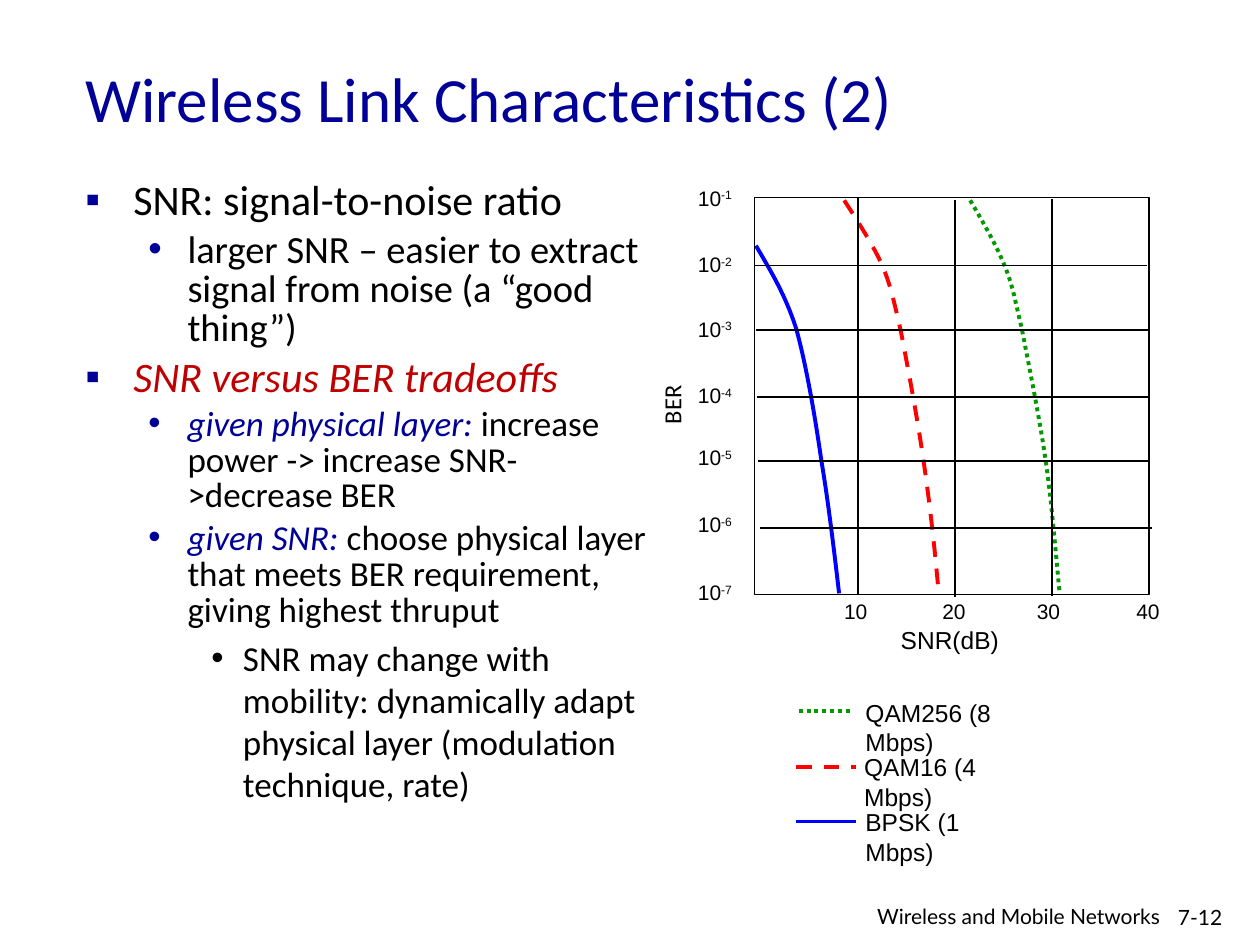
from lxml import etree
from pptx import Presentation
from pptx.dml.color import RGBColor
from pptx.enum.dml import MSO_LINE_DASH_STYLE as DASH
from pptx.enum.shapes import MSO_CONNECTOR, MSO_SHAPE
from pptx.enum.text import MSO_ANCHOR, PP_ALIGN
from pptx.oxml.ns import qn
from pptx.util import Inches, Pt

BLACK, NAVY, CRIMSON = "000000", "000099", "C00000"
BLUE, RED, GREEN = "0000FF", "FF0000", "009900"


def rgb(value):
    return RGBColor.from_string(value)


def text_box(x, y, w, h, runs, size, font="Arial", wrap=False):
    """Runs are (text, colour, italic, superscript); returns the box."""
    sp = s.shapes.add_textbox(Inches(x), Inches(y), Inches(w), Inches(h))
    sp.text_frame.word_wrap = wrap
    add_runs(sp.text_frame.paragraphs[0], runs, size, font)
    return sp


def add_runs(p, runs, size, font):
    for text, color, italic, superscript in runs:
        r = p.add_run()
        r.text = text
        r.font.size, r.font.name = Pt(size), font
        r.font.color.rgb = rgb(color)
        r.font.italic = italic
        if superscript:
            r.font._element.set("baseline", "30000")


prs = Presentation()
prs.slide_width, prs.slide_height = Inches(10), Inches(7.5)
s = prs.slides.add_slide(prs.slide_layouts[6])

# Title
title = text_box(0.58, 0.15, 8.5, 1.25,
                 [("Wireless Link Characteristics (2)", NAVY, False, False)],
                 36, "Calibri", wrap=True)
title.text_frame.vertical_anchor = MSO_ANCHOR.MIDDLE

# Bulleted text: level, size, runs of (text, colour, italic)
bullets = [
    (0, 24, [("SNR: signal-to-noise ratio", BLACK, False)]),
    (1, 22, [("larger SNR – easier to extract signal from noise "
              "(a “good thing”)", BLACK, False)]),
    (0, 24, [("SNR versus BER tradeoffs", CRIMSON, True)]),
    (1, 20, [("given physical layer:", NAVY, True),
             (" increase power -> increase SNR->decrease BER", BLACK, False)]),
    (1, 20, [("given SNR:", NAVY, True),
             (" choose physical layer that meets BER requirement, "
              "giving highest thruput", BLACK, False)]),
    (2, 20, [("SNR may change with mobility: dynamically adapt physical layer "
              "(modulation technique, rate)", BLACK, False)]),
]
# Per level: left margin, hanging indent, line spacing, bullet, bullet colour
levels = [(0.38, 0.38, 0.85, "▪", NAVY),
          (0.81, 0.31, 0.85, "•", NAVY),
          (1.25, 0.25, 1.0, "•", BLACK)]
body = s.shapes.add_textbox(Inches(0.58), Inches(1.39), Inches(4.68), Inches(5.68))
tf = body.text_frame
tf.word_wrap = True
for i, (level, size, runs) in enumerate(bullets):
    margin, hang, spacing, char, color = levels[level]
    p = tf.add_paragraph() if i else tf.paragraphs[0]
    p.level = level
    p.line_spacing, p.space_before = spacing, Pt(size * 0.2)
    pPr = p._p.get_or_add_pPr()
    pPr.set("marL", str(Inches(margin)))
    pPr.set("indent", str(-Inches(hang)))
    clr = etree.SubElement(pPr, qn("a:buClr"))
    etree.SubElement(clr, qn("a:srgbClr")).set("val", color)
    etree.SubElement(pPr, qn("a:buFont")).set("typeface", "Arial")
    etree.SubElement(pPr, qn("a:buChar")).set("char", char)
    add_runs(p, [(*run, False) for run in runs], size, "Calibri")

# BER curves: start point, then Bezier segments of three points each
curves = [
    (BLUE, DASH.SOLID,
     [(6, 1.95), (6.11, 2.14), (6.23, 2.33), (6.32, 2.61), (6.4, 2.9),
      (6.47, 3.31), (6.52, 3.66), (6.58, 4.01), (6.64, 4.54), (6.66, 4.71)]),
    (RED, DASH.DASH,
     [(6.7, 1.59), (6.81, 1.76), (6.92, 1.93), (7, 2.1), (7.07, 2.27),
      (7.09, 2.37), (7.15, 2.63), (7.2, 2.89), (7.28, 3.31), (7.33, 3.66),
      (7.38, 4), (7.42, 4.36), (7.45, 4.71)]),
    (GREEN, DASH.ROUND_DOT,
     [(7.7, 1.59), (7.8, 1.76), (7.9, 1.93), (7.97, 2.1), (8.04, 2.27),
      (8.05, 2.36), (8.11, 2.61), (8.16, 2.87), (8.25, 3.31), (8.3, 3.66),
      (8.35, 4), (8.39, 4.52), (8.41, 4.7)]),
]
for color, dash, pts in curves:
    start, *rest = [(Inches(x), Inches(y)) for x, y in pts]
    fb = s.shapes.build_freeform(*start)
    fb.add_line_segments(rest, close=False)
    sp = fb.convert_to_shape()
    # Join every three straight segments into one Bezier segment
    segments = list(sp._element.iter(qn("a:lnTo")))
    for k in range(0, len(segments), 3):
        bezier = etree.Element(qn("a:cubicBezTo"))
        segments[k].addprevious(bezier)
        for segment in segments[k:k + 3]:
            bezier.append(segment[0])
            segment.getparent().remove(segment)
    sp.shadow.inherit = False
    sp.fill.background()
    sp.line.color.rgb, sp.line.width = rgb(color), Pt(2.25)
    sp.line.dash_style = dash

# Plot frame
frame = s.shapes.add_shape(MSO_SHAPE.RECTANGLE, Inches(5.99), Inches(1.57),
                           Inches(3.13), Inches(3.15))
frame.shadow.inherit = False
frame.fill.background()
frame.line.color.rgb, frame.line.width = rgb(BLACK), Pt(0.75)

# Grid lines and legend keys
rows = [2.11, 2.62, 3.15, 3.66, 4.19]
lines = [(5.99 + 0.01 * i, y, 9.1 + 0.01 * i, y, BLACK, 0.75, DASH.SOLID)
         for i, y in enumerate(rows)]
lines += [(x, top, x, top + 3.15, BLACK, 0.75, DASH.SOLID)
          for x, top in ((6.81, 1.57), (7.58, 1.59), (8.35, 1.58))]
lines += [(6.32, 6.52, 6.79, 6.52, BLUE, 2.25, DASH.SOLID),
          (6.32, 6.09, 6.79, 6.09, RED, 2.25, DASH.DASH),
          (6.34, 5.64, 6.77, 5.64, GREEN, 2.25, DASH.ROUND_DOT)]
for x1, y1, x2, y2, color, width, dash in lines:
    cn = s.shapes.add_connector(MSO_CONNECTOR.STRAIGHT, Inches(x1), Inches(y1),
                                Inches(x2), Inches(y2))
    cn.line.color.rgb, cn.line.width = rgb(color), Pt(width)
    cn.line.dash_style = dash
    etree.SubElement(cn._element.spPr, qn("a:effectLst"))

# Axis labels
for label, x in (("10", 6.6), ("20", 7.38), ("30", 8.13), ("40", 8.92)):
    text_box(x, 4.7, 0.39, 0.3, [(label, BLACK, False, False)], 12)
for n, y in enumerate([1.42, 1.95, 2.46, 2.99, 3.48, 4.01, 4.55], 1):
    text_box(5.44, y, 0.48, 0.3,
             [("10", BLACK, False, False), (f"-{n}", BLACK, False, True)], 12)
text_box(7.05, 4.91, 0.98, 0.33, [("SNR(dB)", BLACK, False, False)], 14)
ber = text_box(5.07, 3.03, 0.53, 0.34, [("BER", BLACK, False, False)], 14, "Calibri")
ber.rotation = 270

# Legend labels, each wrapped to a 1.1 inch column
for label, x, y, w in (("QAM256 (8 Mbps)", 6.77, 5.49, 1.78),
                       ("QAM16 (4 Mbps)", 6.76, 5.92, 1.68),
                       ("BPSK (1 Mbps)", 6.77, 6.36, 1.54)):
    sp = text_box(x, y, w, 0.33, [(label, BLACK, False, False)], 14, wrap=True)
    sp.text_frame.margin_right = Inches(w - 0.1 - 1.1)

# Footer
text_box(9.25, 7.13, 0.75, 0.3, [("7-12", BLACK, False, False)], 12, "Lato", wrap=True)
footer = text_box(6.4, 7.12, 2.95, 0.28,
                  [("Wireless and Mobile Networks ", BLACK, False, False)],
                  12, "Lato", wrap=True)
footer.text_frame.paragraphs[0].alignment = PP_ALIGN.RIGHT

prs.save("out.pptx")
